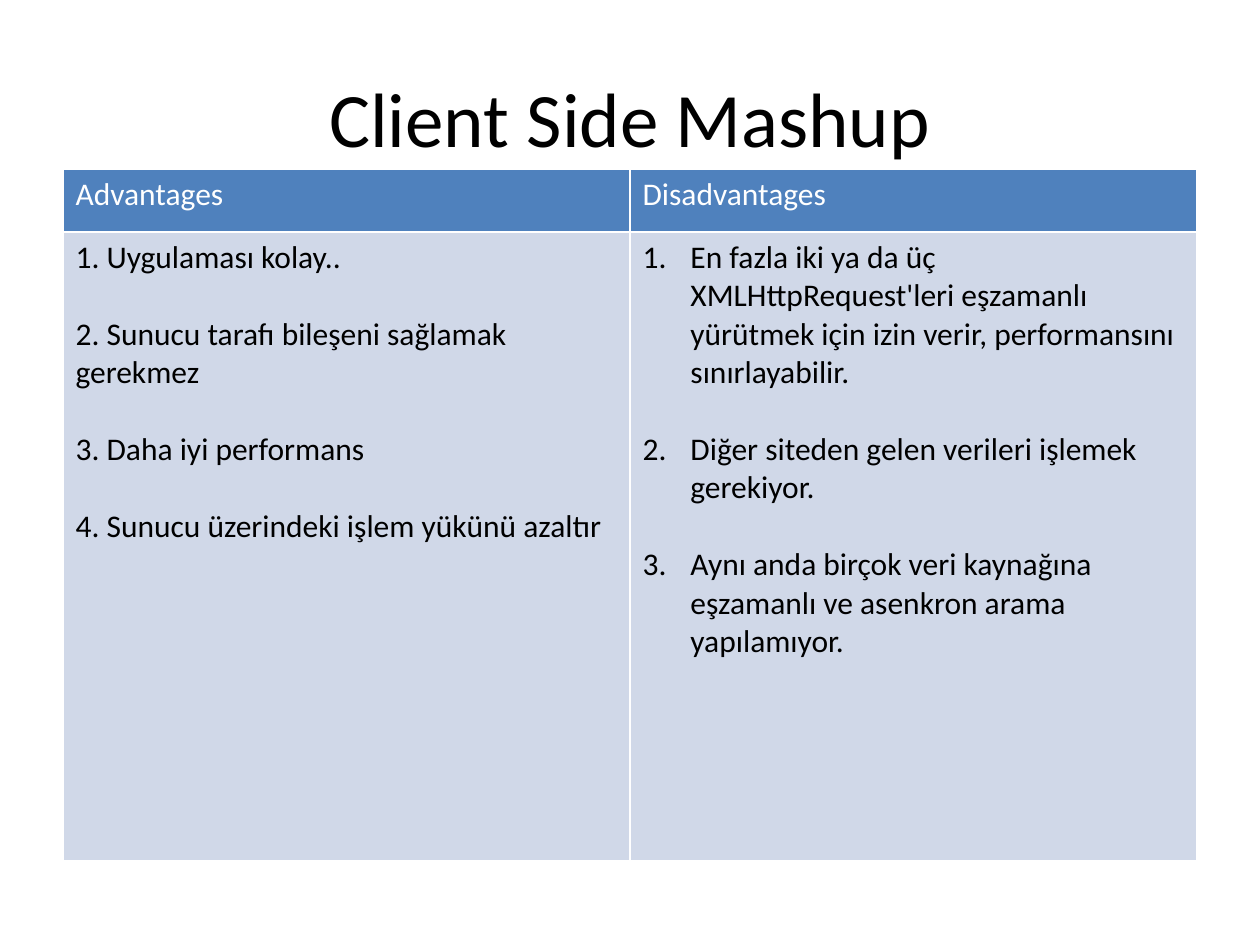
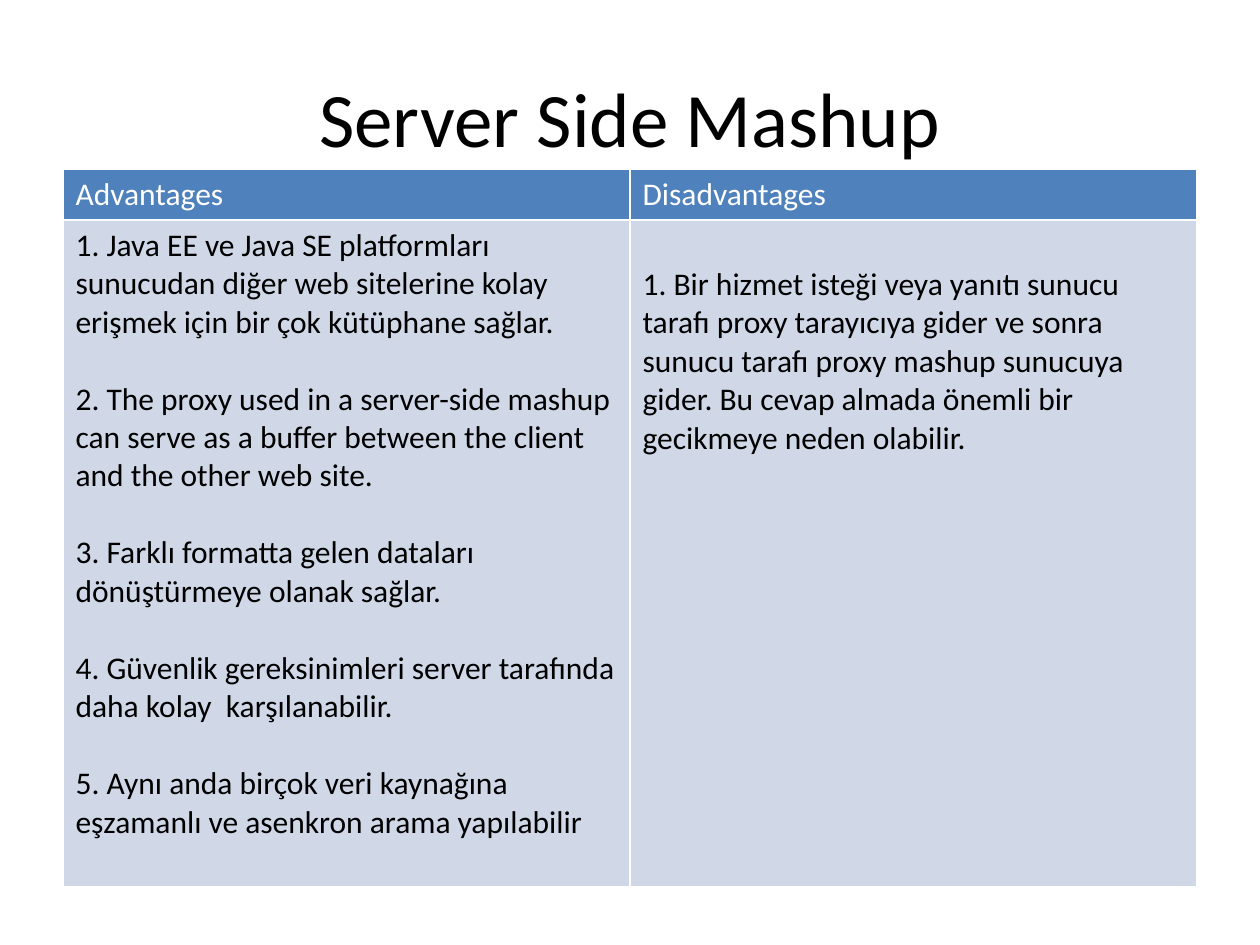
from lxml import etree
from pptx import Presentation
from pptx.dml.color import RGBColor
from pptx.enum.text import MSO_ANCHOR, PP_ALIGN
from pptx.oxml.ns import qn
from pptx.util import Inches, Pt

CENTER = PP_ALIGN.CENTER
MIDDLE = MSO_ANCHOR.MIDDLE
BLACK = RGBColor(0x00, 0x00, 0x00)
WHITE = RGBColor(0xFF, 0xFF, 0xFF)
HEADER_BLUE = RGBColor(0x4F, 0x81, 0xBD)
BODY_BLUE = RGBColor(0xD0, 0xD8, 0xE8)
FONT = "Calibri"
TITLE_ONLY = 5
HEADINGS = ("Advantages", "Disadvantages")
NUMBER_INDENT = Inches(0.38)
ITEM_GAP = 22

CLIENT_ADVANTAGES = [
    "1. Uygulaması kolay..",
    "2. Sunucu tarafı bileşeni sağlamak gerekmez",
    "3. Daha iyi performans",
    "4. Sunucu üzerindeki işlem yükünü azaltır",
]
CLIENT_DISADVANTAGES = [
    "En fazla iki ya da üç XMLHttpRequest'leri eşzamanlı yürütmek için izin verir, "
    "performansını sınırlayabilir.",
    "Diğer siteden gelen verileri işlemek gerekiyor.",
    "Aynı anda birçok veri kaynağına eşzamanlı ve asenkron arama yapılamıyor.",
]
SERVER_ADVANTAGES = [
    "1. Java EE ve Java SE platformları sunucudan diğer web sitelerine kolay "
    "erişmek için bir çok kütüphane sağlar.",
    "2. The proxy used in a server-side mashup can serve as a buffer between "
    "the client and the other web site.",
    "3. Farklı formatta gelen dataları dönüştürmeye olanak sağlar.",
    "4. Güvenlik gereksinimleri server tarafında daha kolay  karşılanabilir.",
    "5. Aynı anda birçok veri kaynağına eşzamanlı ve asenkron arama yapılabilir",
]
SERVER_DISADVANTAGES = [
    "1. Bir hizmet isteği veya yanıtı sunucu tarafı proxy tarayıcıya gider ve sonra "
    "sunucu tarafı proxy mashup sunucuya gider. Bu cevap almada önemli bir "
    "gecikmeye neden olabilir.",
]


def number_paragraph(para):
    properties = para._p.get_or_add_pPr()
    properties.set("marL", str(NUMBER_INDENT))
    properties.set("indent", str(-NUMBER_INDENT))
    etree.SubElement(properties, qn("a:buAutoNum"), type="arabicPeriod")


def write_text(frame, items, size=18, color=BLACK, align=None, numbered=False):
    for index, item in enumerate(items):
        para = frame.add_paragraph() if index else frame.paragraphs[0]
        if numbered:
            number_paragraph(para)
        if index:
            para.space_before = Pt(ITEM_GAP)
        if align is not None:
            para.alignment = align
        span = para.add_run()
        span.text = item
        span.font.name = FONT
        span.font.size = Pt(size)
        span.font.bold = False
        span.font.color.rgb = color


def set_borders(cell, color=WHITE, width=1):
    properties = cell._tc.get_or_add_tcPr()
    for side in ("lnL", "lnR", "lnT", "lnB"):
        line = etree.SubElement(properties, qn(f"a:{side}"), w=str(Pt(width)))
        fill = etree.SubElement(line, qn("a:solidFill"))
        etree.SubElement(fill, qn("a:srgbClr"), val=str(color))


def fill_cell(cell, items, background, **text_format):
    set_borders(cell)
    cell.fill.solid()
    cell.fill.fore_color.rgb = background
    write_text(cell.text_frame, items, **text_format)


def add_title(page, text):
    title = page.shapes.title
    title.left, title.top = Inches(0.5), Inches(0.3)
    title.width, title.height = Inches(9), Inches(1.25)
    title.text_frame.vertical_anchor = MIDDLE
    write_text(title.text_frame, [text], size=44, align=CENTER)


def add_comparison(page, advantages, disadvantages, row_heights, numbered=False):
    table = page.shapes.add_table(
        2, 2, Inches(0.5), Inches(1.34), Inches(9), Inches(sum(row_heights))
    ).table
    for row, height in zip(table.rows, row_heights):
        row.height = Inches(height)
    for column, heading in enumerate(HEADINGS):
        fill_cell(table.cell(0, column), [heading], HEADER_BLUE, color=WHITE)
    fill_cell(table.cell(1, 0), advantages, BODY_BLUE)
    fill_cell(table.cell(1, 1), disadvantages, BODY_BLUE, numbered=numbered)
    return table


def add_page(deck, title):
    page = deck.slides.add_slide(deck.slide_layouts[TITLE_ONLY])
    add_title(page, title)
    return page


def main():
    deck = Presentation()
    deck.slide_width, deck.slide_height = Inches(10), Inches(7.5)

    client_page = add_page(deck, "Client Side Mashup")
    add_comparison(client_page, CLIENT_ADVANTAGES, CLIENT_DISADVANTAGES,
                   (0.5, 4.99), numbered=True)

    server_page = add_page(deck, "Server Side Mashup")
    server_table = add_comparison(server_page, SERVER_ADVANTAGES,
                                  SERVER_DISADVANTAGES, (0.39, 5.29))
    server_table.cell(1, 1).margin_top = Inches(0.36)

    deck.save("out.pptx")


if __name__ == "__main__":
    main()
